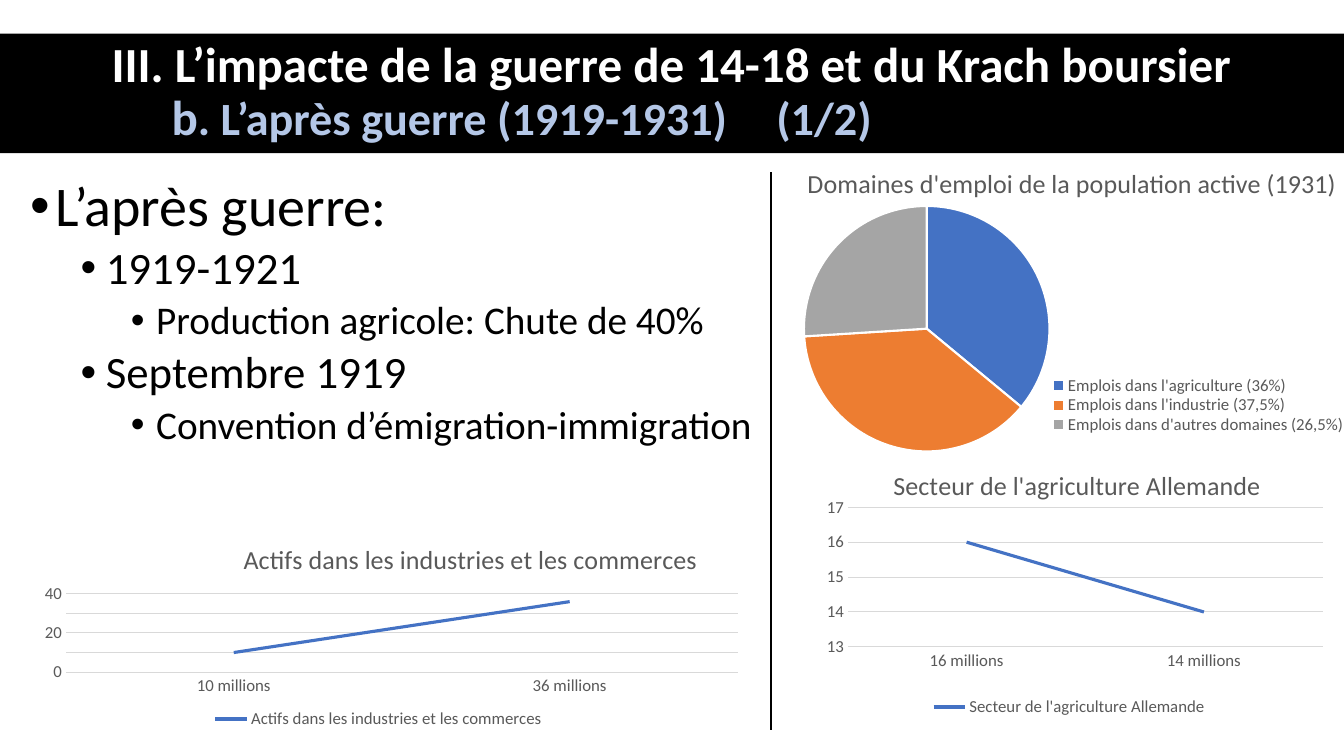
"""Build the slide on the years after the 1914-18 war, with its three charts."""
from dataclasses import dataclass
from typing import Any, Optional

from lxml.etree import SubElement
from pptx import Presentation
from pptx.chart.chart import Chart
from pptx.chart.data import CategoryChartData
from pptx.dml.color import RGBColor
from pptx.enum.chart import XL_CHART_TYPE, XL_LEGEND_POSITION, XL_TICK_MARK
from pptx.enum.shapes import MSO_CONNECTOR, MSO_SHAPE
from pptx.enum.text import MSO_ANCHOR, PP_ALIGN
from pptx.oxml import parse_xml
from pptx.oxml.ns import nsdecls, qn
from pptx.shapes.autoshape import Shape
from pptx.slide import Slide
from pptx.util import Pt

Box = tuple[float, float, float, float]


@dataclass(frozen=True)
class Theme:
    """Colours and type sizes of the slide."""
    font: str = "Calibri"
    black: str = "000000"
    white: str = "FFFFFF"
    pale_blue: str = "B4C7E7"
    grey: str = "595959"
    grid: str = "D9D9D9"
    series: tuple[str, ...] = ("4472C4", "ED7D31", "A5A5A5")
    title: float = 35
    subtitle: float = 33
    levels: tuple[float, ...] = (40, 32, 28)
    chart_title: float = 18.6
    chart_text: float = 12


T = Theme()


@dataclass(frozen=True)
class Run:
    """A stretch of text in one format."""
    text: str
    size: float
    color: str
    bold: bool = False


@dataclass(frozen=True)
class Para:
    """A paragraph with its indents and spacing."""
    runs: tuple[Run, ...]
    left: float = 0
    hanging: float = 0
    before: float = 0
    align: PP_ALIGN = PP_ALIGN.LEFT
    tab: float = 0


@dataclass(frozen=True)
class Graph:
    """A chart with its data, frame and inner layout fractions."""
    kind: XL_CHART_TYPE
    title: str
    cats: tuple[str, ...]
    vals: tuple[float, ...]
    box: Box
    plot: Box
    legend: Box
    title_at: Optional[tuple[float, float]] = None
    scale: tuple[float, float, float] = (0, 0, 0)


BANDS: tuple[Box, ...] = ((0, 51, 960, 58.5), (0, 24, 960, 28))

TITLE = (
    Para((Run("III. L’impacte de la guerre de 14-18 et du Krach boursier", T.title, T.white, True),),
         align=PP_ALIGN.CENTER),
    Para((Run("b", T.title, T.pale_blue, True),
          Run(". L’après guerre (1919-1931)\t(1/2)", T.subtitle, T.pale_blue, True)), left=49.5, tab=461.5),
)

OUTLINE = (
    (0, "L’après guerre:"),
    (1, "1919-1921"),
    (2, "Production agricole: Chute de 40%"),
    (1, "Septembre 1919"),
    (2, "Convention d’émigration-immigration"),
)

GRAPHS = (
    Graph(XL_CHART_TYPE.PIE, "Domaines d'emploi de la population active (1931)",
          ("Emplois dans l'agriculture (36%)", "Emplois dans l'industrie (37,5%)",
           "Emplois dans d'autres domaines (26,5%)"), (36, 38, 26),
          (504.5, 112.5, 492, 216.5), (0.14, 0.16, 0.36, 0.81), (0.5, 0.72, 0.43, 0.19), (0.14, 0.01)),
    Graph(XL_CHART_TYPE.LINE, "Secteur de l'agriculture Allemande",
          ("16 millions", "14 millions"), (16, 14),
          (579, 322.5, 381, 199.5), (0.07, 0.2, 0.89, 0.5), (0.21, 0.87, 0.55, 0.09), scale=(13, 17, 1)),
    Graph(XL_CHART_TYPE.LINE, "Actifs dans les industries et les commerces",
          ("10 millions", "36 millions"), (10, 36),
          (7.5, 376, 657.5, 155.5), (0.06, 0.31, 0.73, 0.36), (0.21, 0.83, 0.38, 0.11), scale=(0, 40, 10)),
)


def rgb(color: str) -> RGBColor:
    """Turn a hex string into a colour."""
    return RGBColor.from_string(color)


def apply(target: Any, values: dict[str, Any]) -> None:
    """Set each named attribute on the target."""
    for name, value in values.items():
        setattr(target, name, value)


def style_font(font: Any, size: float, color: str, bold: bool = False) -> None:
    """Give a font its face, size, weight and colour."""
    apply(font, {"name": T.font, "size": Pt(size), "bold": bold})
    font.color.rgb = rgb(color)


def style_line(line: Any, width: float, color: str) -> None:
    """Give a line its width and colour."""
    line.width = Pt(width)
    line.color.rgb = rgb(color)


def add_text(s: Slide, box: Box, paras: tuple[Para, ...], anchor: MSO_ANCHOR) -> Shape:
    """Draw a text box of formatted paragraphs."""
    sp = s.shapes.add_textbox(*map(Pt, box))
    tf = sp.text_frame
    apply(tf, {"word_wrap": True, "vertical_anchor": anchor})
    for i, para in enumerate(paras):
        p = tf.add_paragraph() if i else tf.paragraphs[0]
        pPr = p._p.get_or_add_pPr()
        pPr.set("marL", str(Pt(para.left)))
        pPr.set("indent", str(Pt(-para.hanging)))
        if para.hanging:
            SubElement(pPr, qn("a:buFont"), typeface="Arial")
            SubElement(pPr, qn("a:buChar"), char="•")
        if para.tab:
            tabs = SubElement(pPr, qn("a:tabLst"))
            SubElement(tabs, qn("a:tab"), pos=str(Pt(para.tab)), algn="l")
        apply(p, {"alignment": para.align, "line_spacing": 0.9, "space_before": Pt(para.before)})
        for run in para.runs:
            r = p.add_run()
            r.text = run.text
            style_font(r.font, run.size, run.color, run.bold)
    return sp


def add_band(s: Slide, box: Box) -> None:
    """Draw a plain black band."""
    sp = s.shapes.add_shape(MSO_SHAPE.RECTANGLE, *map(Pt, box))
    sp.shadow.inherit = False
    sp.fill.solid()
    sp.fill.fore_color.rgb = rgb(T.black)
    sp.line.fill.background()


def place(parent: Any, index: int, at: tuple[float, ...], inner: bool = False) -> None:
    """Give a chart part a manual layout in fractions of the frame."""
    layout = parent.find(qn("c:layout"))
    if layout is None:
        layout = parse_xml(f"<c:layout {nsdecls('c')}/>")
        parent.insert(index, layout)
    manual = SubElement(layout, qn("c:manualLayout"))
    if inner:
        SubElement(manual, qn("c:layoutTarget"), val="inner")
    for tag in ("xMode", "yMode"):
        SubElement(manual, qn(f"c:{tag}"), val="edge")
    for tag, value in zip("xywh", at):
        SubElement(manual, qn(f"c:{tag}"), val=str(value))


def style_axes(chart: Chart, scale: tuple[float, float, float]) -> None:
    """Set the scale, grid and lines of a line chart."""
    low, high, step = scale
    axis = chart.value_axis
    apply(axis, {"minimum_scale": low, "maximum_scale": high, "major_unit": step,
                 "major_tick_mark": XL_TICK_MARK.NONE, "has_major_gridlines": True})
    axis.format.line.fill.background()
    chart.category_axis.major_tick_mark = XL_TICK_MARK.NONE
    for part in (axis.major_gridlines, chart.category_axis):
        style_line(part.format.line, 0.75, T.grid)


def add_graph(s: Slide, graph: Graph) -> None:
    """Draw one chart with its title and legend."""
    data = CategoryChartData()
    data.categories = graph.cats
    data.add_series(graph.title, graph.vals)
    chart = s.shapes.add_chart(graph.kind, *map(Pt, graph.box), data).chart
    apply(chart, {"has_title": True, "has_legend": True})
    style_font(chart.font, T.chart_text, T.grey)
    chart.element.find(qn("c:chart")).addnext(parse_xml(
        f"<c:spPr {nsdecls('c', 'a')}><a:noFill/><a:ln><a:noFill/></a:ln></c:spPr>"))
    r = chart.chart_title.text_frame.paragraphs[0].add_run()
    r.text = graph.title
    style_font(r.font, T.chart_title, T.grey)
    apply(chart.legend, {"position": XL_LEGEND_POSITION.BOTTOM, "include_in_layout": False})
    style_font(chart.legend.font, T.chart_text, T.grey)
    place(chart.element.find(".//" + qn("c:plotArea")), 0, graph.plot, inner=True)
    place(chart.element.find(".//" + qn("c:legend")), 1, graph.legend)
    if graph.title_at:
        place(chart.element.find(".//" + qn("c:title")), 1, graph.title_at)
    plot = chart.plots[0]
    series = plot.series[0]
    plot.vary_by_categories = graph.kind == XL_CHART_TYPE.PIE
    if plot.vary_by_categories:
        for i, color in enumerate(T.series):
            form = series.points[i].format
            form.fill.solid()
            form.fill.fore_color.rgb = rgb(color)
            style_line(form.line, 1.5, T.white)
    else:
        series.smooth = False
        style_line(series.format.line, 2.25, T.series[0])
        style_axes(chart, graph.scale)


def add_divider(s: Slide, x: float, top: float, bottom: float) -> None:
    """Draw the vertical line between the two halves."""
    line = s.shapes.add_connector(MSO_CONNECTOR.STRAIGHT, Pt(x), Pt(top), Pt(x), Pt(bottom))
    style_line(line.line, 1.5, T.black)
    SubElement(line._element.spPr, qn("a:effectLst"))


def main() -> None:
    """Build the slide and save it."""
    prs = Presentation()
    apply(prs, {"slide_width": Pt(960), "slide_height": Pt(540)})
    s = prs.slides.add_slide(prs.slide_layouts[6])
    for band in BANDS:
        add_band(s, band)
    points = tuple(Para((Run(text, T.levels[level], T.black),), 18 + 36 * level, 18, 5 if i else 0)
                   for i, (level, text) in enumerate(OUTLINE))
    body = add_text(s, (14.5, 123.5, 560, 266.5), points, MSO_ANCHOR.TOP)
    style_line(body.line, 0.75, T.white)
    add_text(s, (66, 24, 828, 85), TITLE, MSO_ANCHOR.MIDDLE)
    for graph in GRAPHS:
        add_graph(s, graph)
    add_divider(s, 551, 123, 521.5)
    prs.save("out.pptx")


if __name__ == "__main__":
    main()
